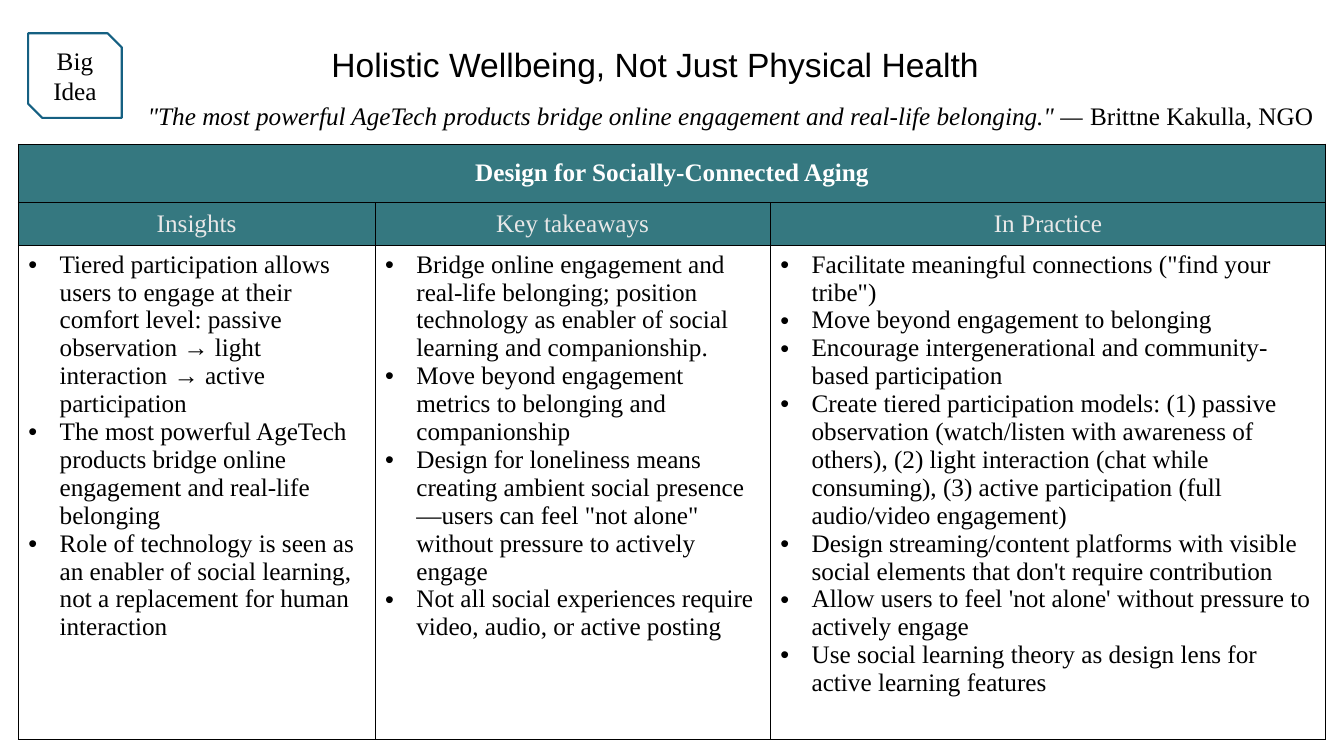
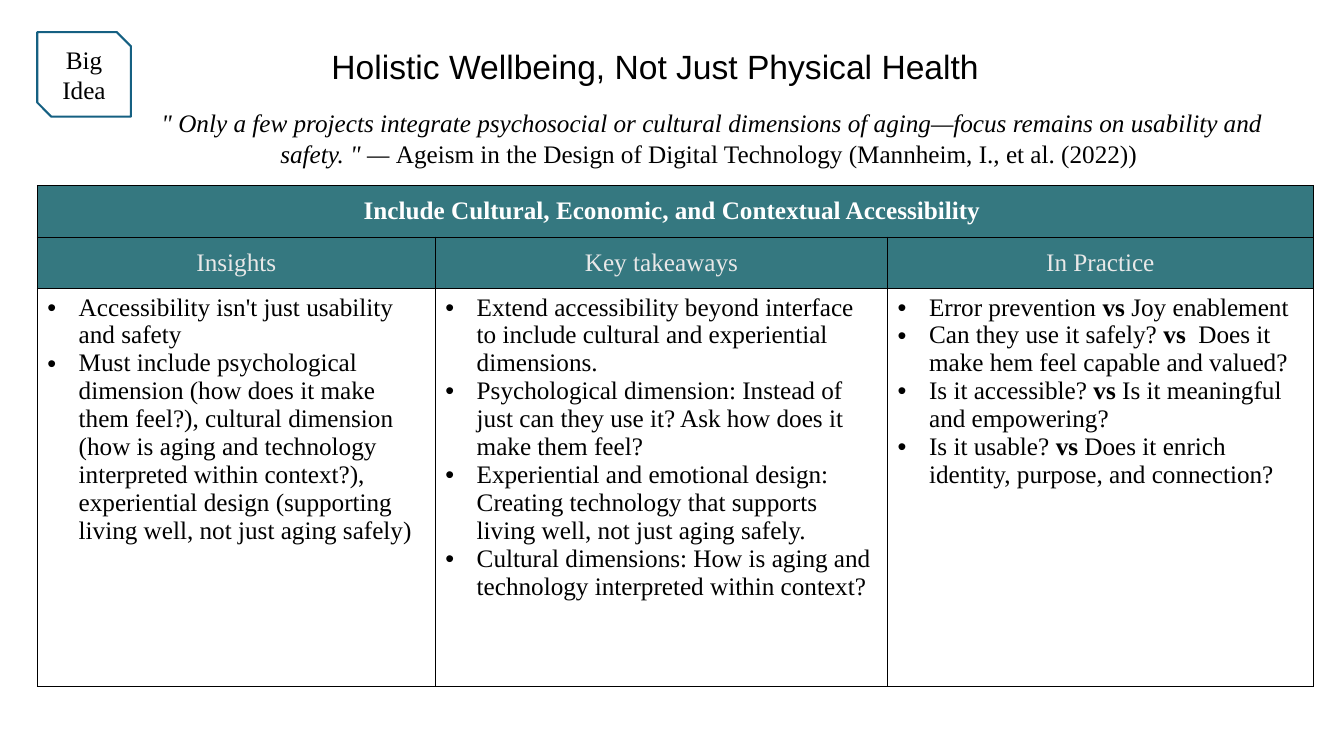
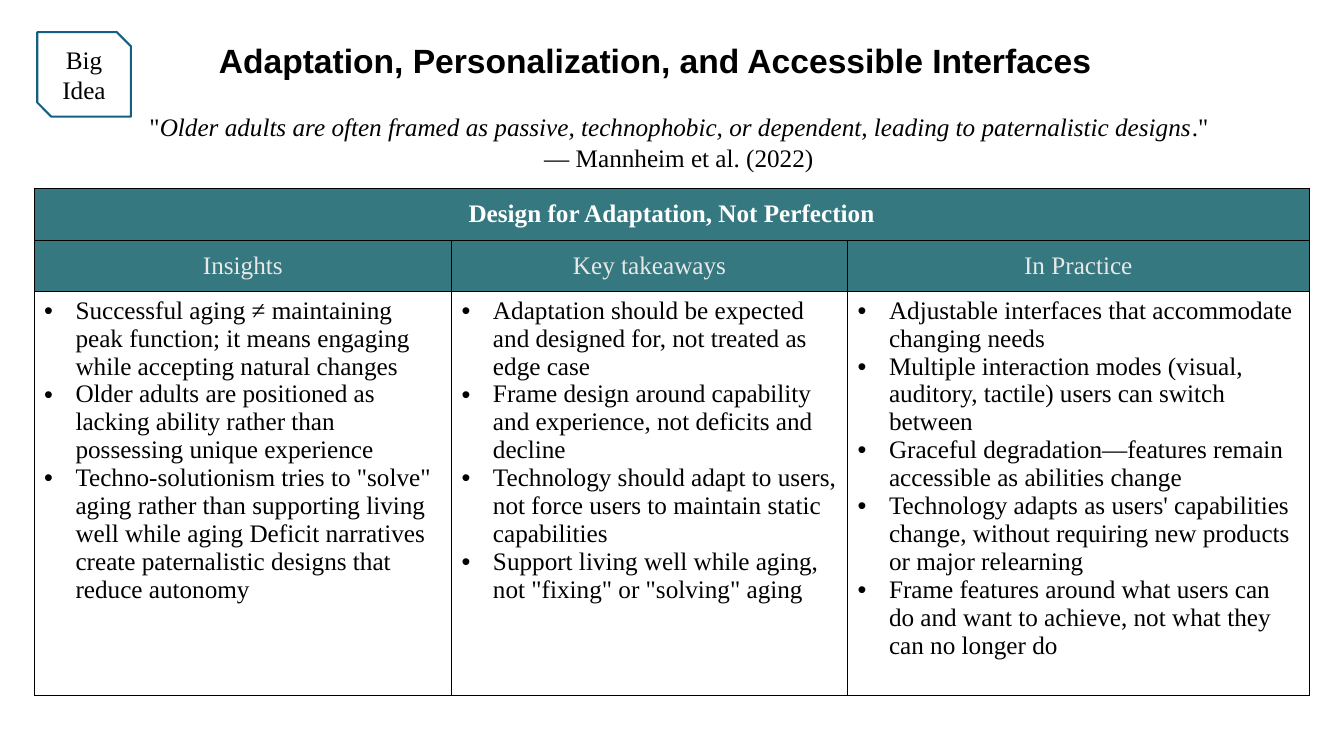
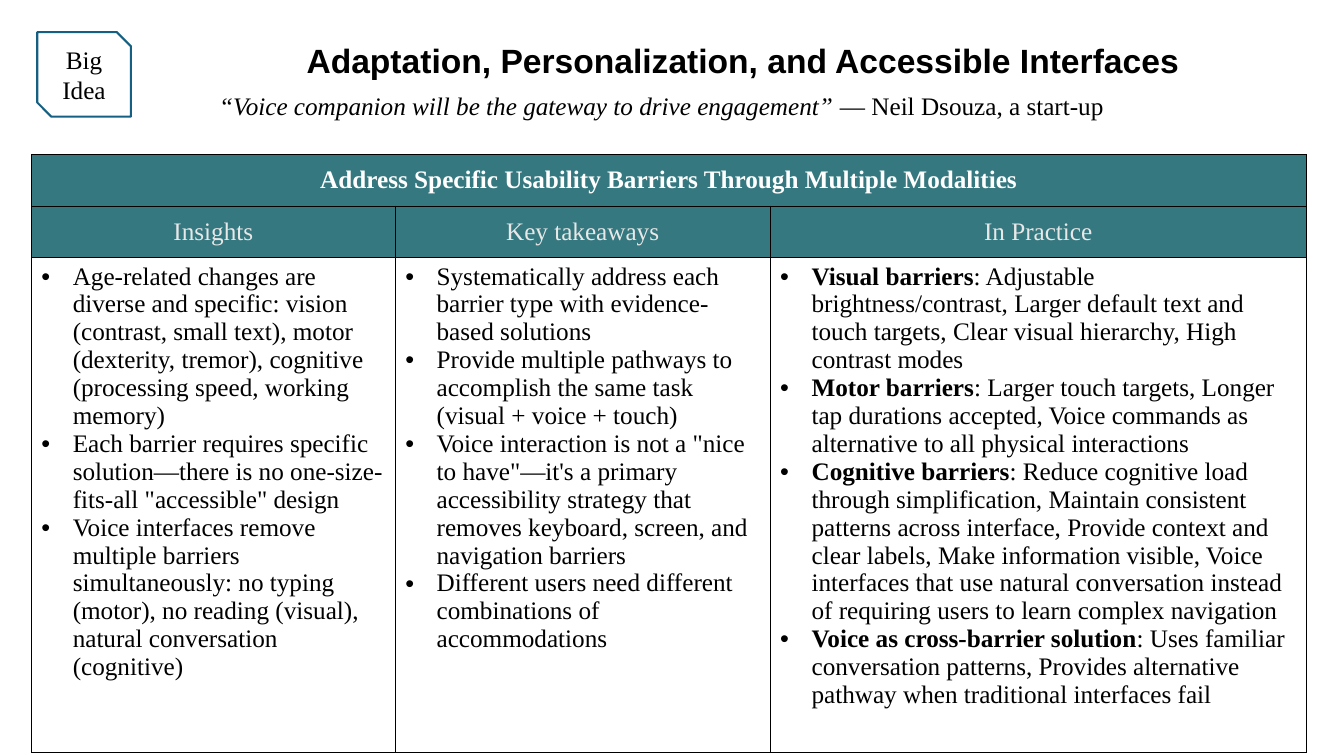
"""Build four slides, each with a badge, a title, a quote and a table of design advice."""
from lxml.etree import SubElement
from pptx import Presentation
from pptx.dml.color import RGBColor
from pptx.enum.shapes import MSO_SHAPE
from pptx.enum.text import MSO_ANCHOR, PP_ALIGN
from pptx.oxml.ns import qn
from pptx.util import Cm, Pt

BLACK = RGBColor(0x00, 0x00, 0x00)
WHITE = RGBColor(0xFF, 0xFF, 0xFF)
PALE = RGBColor(0xE8, 0xE8, 0xE8)
TEAL = RGBColor(0x35, 0x78, 0x80)
BLUE = RGBColor(0x15, 0x60, 0x82)

BODY = {"name": "Times New Roman", "size": Pt(18), "bold": False, "italic": False}
HEAD = {**BODY, "name": "Arial", "size": Pt(24)}
CENTER = {"alignment": PP_ALIGN.CENTER}
LOOSE = {**CENTER, "line_spacing": 1.15, "space_after": Pt(8)}
LABELS = ["Insights", "Key takeaways", "In Practice"]

WELL = {"text": "Holistic Wellbeing, Not Just Physical Health", "bold": False, "para": LOOSE}
ADAPT = {"text": "Adaptation, Personalization, and Accessible Interfaces", "bold": True, "para": CENTER}

SLIDES = [
    {
        "badge": (0.71, 0.84),
        "title": WELL,
        "title_box": (4.52, 0.84, 23.98, 1.45),
        "quote": '|"The most powerful AgeTech products bridge online engagement and real-life belonging." — |Brittne Kakulla, NGO',
        "quote_box": (3.07, 2.41, 30.68, 1.02),
        "topic": "Design for Socially-Connected Aging",
        "origin": (0.46, 3.63),
        "cols": (8.99, 9.96, 14),
        "rows": (1.47, 1.09, 12.45),
        "lists": [
            [
                "Tiered participation allows users to engage at their comfort level: passive observation → light interaction → active participation",
                "The most powerful AgeTech products bridge online engagement and real-life belonging",
                "Role of technology is seen as an enabler of social learning, not a replacement for human interaction",
            ],
            [
                "Bridge online engagement and real-life belonging; position technology as enabler of social learning and companionship.",
                "Move beyond engagement metrics to belonging and companionship",
                'Design for loneliness means creating ambient social presence—users can feel "not alone" without pressure to actively engage',
                "Not all social experiences require video, audio, or active posting",
            ],
            [
                'Facilitate meaningful connections ("find your tribe")',
                "Move beyond engagement to belonging",
                "Encourage intergenerational and community-based participation",
                "Create tiered participation models: (1) passive observation (watch/listen with awareness of others), (2) light interaction (chat while consuming), (3) active participation (full audio/video engagement)",
                "Design streaming/content platforms with visible social elements that don't require contribution",
                "Allow users to feel 'not alone' without pressure to actively engage",
                "Use social learning theory as design lens for active learning features",
            ],
        ],
    },
    {
        "badge": (0.94, 0.81),
        "title": WELL,
        "title_box": (4.52, 0.89, 23.98, 1.45),
        "quote": '|" Only a few projects integrate psychosocial or cultural dimensions of aging—focus remains on usability and safety. " — |Ageism in the Design of Digital Technology (Mannheim, I., et al. (2022)) ',
        "quote_box": (3.3, 2.59, 29.29, 1.8),
        "topic": "Include Cultural, Economic, and Contextual Accessibility ",
        "origin": (0.94, 4.67),
        "cols": (10.03, 11.4, 10.72),
        "rows": (1.3, 1.3, 10.03),
        "lists": [
            [
                "Accessibility isn't just usability and safety",
                "Must include psychological dimension (how does it make them feel?), cultural dimension (how is aging and technology interpreted within context?), experiential design (supporting living well, not just aging safely)",
            ],
            [
                "Extend accessibility beyond interface to include cultural and experiential dimensions.",
                "Psychological dimension: Instead of just can they use it? Ask how does it make them feel?",
                "Experiential and emotional design: Creating technology that supports living well, not just aging safely.",
                "Cultural dimensions: How is aging and technology interpreted within context?",
            ],
            [
                "Error prevention |vs| Joy enablement",
                "Can they use it safely? |vs | Does it make hem feel capable and valued?",
                "Is it accessible? |vs| Is it meaningful and empowering?",
                "Is it usable? |vs| Does it enrich identity, purpose, and connection?",
            ],
        ],
    },
    {
        "badge": (0.94, 0.81),
        "title": ADAPT,
        "title_box": (4.52, 0.89, 23.98, 2.31),
        "quote": '"|Older adults are often framed as passive, technophobic, or dependent, leading to paternalistic designs|."\n— Mannheim et al. (2022)',
        "quote_box": (1.3, 2.69, 31.62, 1.8),
        "topic": "Design for Adaptation, Not Perfection",
        "origin": (0.86, 4.75),
        "cols": (10.52, 9.98, 11.63),
        "rows": (1.3, 1.3, 10.17),
        "lists": [
            [
                "Successful aging ≠ maintaining peak function; it means engaging while accepting natural changes",
                "Older adults are positioned as lacking ability rather than possessing unique experience",
                'Techno-solutionism tries to "solve" aging rather than supporting living well while aging Deficit narratives create paternalistic designs that reduce autonomy',
            ],
            [
                "Adaptation should be expected and designed for, not treated as edge case",
                "Frame design around capability and experience, not deficits and decline",
                "Technology should adapt to users, not force users to maintain static capabilities",
                'Support living well while aging, not "fixing" or "solving" aging',
            ],
            [
                "Adjustable interfaces that accommodate changing needs",
                "Multiple interaction modes (visual, auditory, tactile) users can switch between",
                "Graceful degradation—features remain accessible as abilities change",
                "Technology adapts as users' capabilities change, without requiring new products or major relearning",
                "Frame features around what users can do and want to achieve, not what they can no longer do",
            ],
        ],
    },
    {
        "badge": (0.94, 0.81),
        "title": ADAPT,
        "title_box": (4.52, 0.89, 28.4, 1.27),
        "quote": "|“Voice companion will be the gateway to drive engagement” |— Neil Dsouza, a start-up",
        "quote_box": (0.86, 2.16, 31.62, 1.02),
        "topic": "Address Specific Usability Barriers Through Multiple Modalities",
        "origin": (0.79, 3.89),
        "cols": (9.17, 9.45, 13.51),
        "rows": (1.3, 1.3, 12.47),
        "lists": [
            [
                "Age-related changes are diverse and specific: vision (contrast, small text), motor (dexterity, tremor), cognitive (processing speed, working memory)",
                'Each barrier requires specific solution—there is no one-size-fits-all "accessible" design',
                "Voice interfaces remove multiple barriers simultaneously: no typing (motor), no reading (visual), natural conversation (cognitive)",
            ],
            [
                "Systematically address each barrier type with evidence-based solutions",
                "Provide multiple pathways to accomplish the same task (visual + voice + touch)",
                'Voice interaction is not a "nice to have"—it\'s a primary accessibility strategy that removes keyboard, screen, and navigation barriers',
                "Different users need different combinations of accommodations",
            ],
            [
                "|Visual barriers|: Adjustable brightness/contrast, Larger default text and touch targets, Clear visual hierarchy, High contrast modes",
                "|Motor barriers|: Larger touch targets, Longer tap durations accepted, Voice commands as alternative to all physical interactions",
                "|Cognitive barriers|: Reduce cognitive load through simplification, Maintain consistent patterns across interface, Provide context and clear labels, Make information visible, Voice interfaces that use natural conversation instead of requiring users to learn complex navigation",
                "|Voice as cross-barrier solution|: Uses familiar conversation patterns, Provides alternative pathway when traditional interfaces fail",
            ],
        ],
    },
]


def write(frame, lines, font, color, para=CENTER, accent="italic", bullet=False):
    """Fill a frame; text between bars gets the accent."""
    frame.word_wrap = True
    for n, line in enumerate(lines):
        item = frame.paragraphs[0] if n == 0 else frame.add_paragraph()
        for key, value in para.items():
            setattr(item, key, value)
        if bullet:
            props = item._p.get_or_add_pPr()
            props.set("marL", str(Cm(0.79)))
            props.set("indent", str(-Cm(0.79)))
            SubElement(props, qn("a:buFont"), typeface="Arial")
            SubElement(props, qn("a:buChar"), char="•")
        for place, part in enumerate(line.split("|")):
            if part:
                run = item.add_run()
                run.text = part
                look = {**font, accent: True} if place % 2 else font
                for key, value in look.items():
                    setattr(run.font, key, value)
                run.font.color.rgb = color


def border(cell):
    """Draw a thin black line on each side of a cell."""
    props = cell._tc.get_or_add_tcPr()
    for side in "LRTB":
        line = SubElement(props, qn(f"a:ln{side}"), w=str(Pt(0.5)))
        fill = SubElement(line, qn("a:solidFill"))
        SubElement(fill, qn("a:srgbClr"), val=str(BLACK))


deck = Presentation()
deck.slide_width = Cm(33.87)
deck.slide_height = Cm(19.05)

for data in SLIDES:
    slide = deck.slides.add_slide(deck.slide_layouts[6])
    shapes = slide.shapes

    left, top = data["badge"]
    badge = shapes.add_shape(MSO_SHAPE.SNIP_2_DIAG_RECTANGLE, Cm(left), Cm(top), Cm(2.36), Cm(2.13))
    badge.shadow.inherit = False
    badge.fill.solid()
    badge.fill.fore_color.rgb = WHITE
    badge.line.color.rgb = BLUE
    badge.line.width = Pt(1.5)
    write(badge.text_frame, ["Big Idea"], BODY, BLACK)

    quote = shapes.add_textbox(*map(Cm, data["quote_box"]))
    write(quote.text_frame, data["quote"].split("\n"), BODY, BLACK)

    head = data["title"]
    title = shapes.add_textbox(*map(Cm, data["title_box"]))
    write(title.text_frame, [head["text"]], {**HEAD, "bold": head["bold"]}, BLACK, head["para"])

    cols, rows = data["cols"], data["rows"]
    size = map(Cm, (*data["origin"], sum(cols), sum(rows)))
    table = shapes.add_table(3, 3, *size).table
    table.first_row = table.horz_banding = False
    for col, width in zip(table.columns, cols):
        col.width = Cm(width)
    for row, height in zip(table.rows, rows):
        row.height = Cm(height)
    for cell in table.iter_cells():
        border(cell)
        cell.fill.background()
    for row in list(table.rows)[:2]:
        for cell in row.cells:
            cell.fill.solid()
            cell.fill.fore_color.rgb = TEAL
            cell.vertical_anchor = MSO_ANCHOR.MIDDLE

    table.cell(0, 0).merge(table.cell(0, 2))
    write(table.cell(0, 0).text_frame, [data["topic"]], {**BODY, "bold": True}, WHITE)
    for n, (label, points) in enumerate(zip(LABELS, data["lists"])):
        write(table.cell(1, n).text_frame, [label], BODY, PALE)
        write(table.cell(2, n).text_frame, points, BODY, BLACK, {}, "bold", True)

deck.save("out.pptx")
